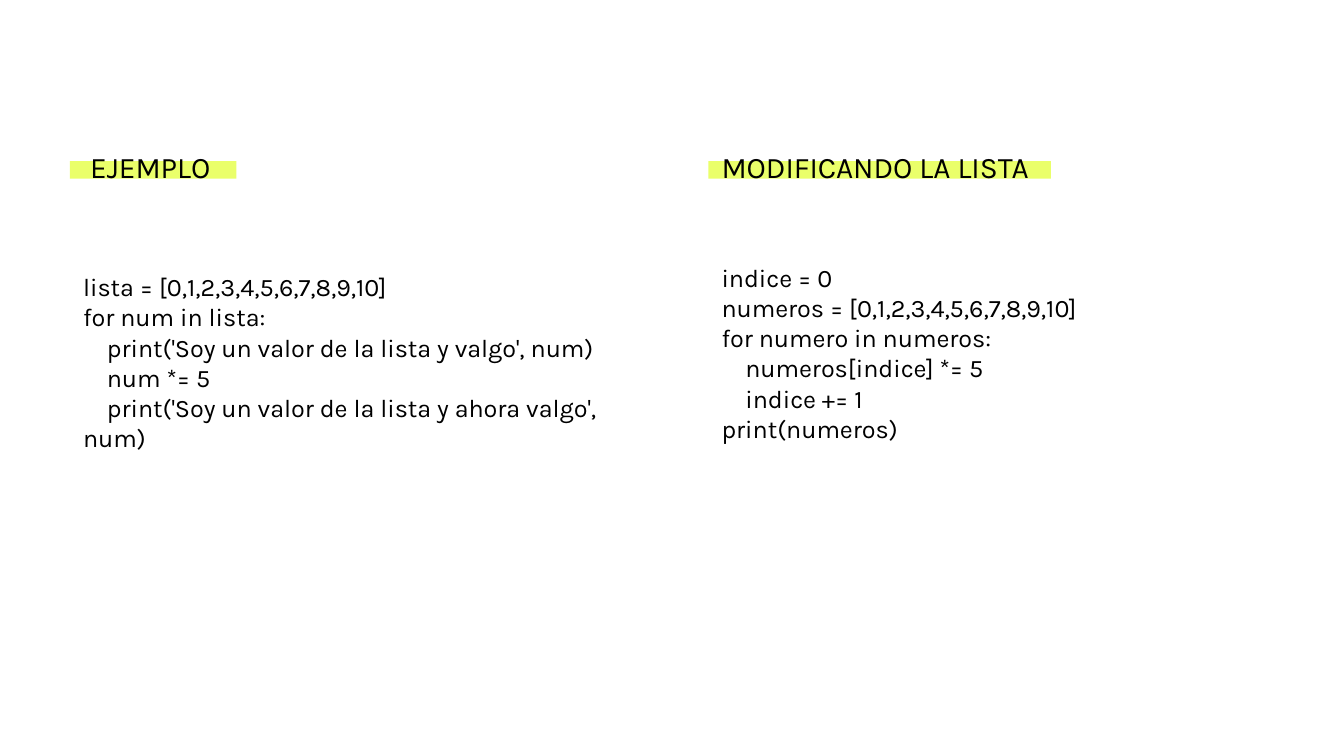
from pptx import Presentation
from pptx.dml.color import RGBColor
from pptx.enum.shapes import MSO_SHAPE
from pptx.util import Inches, Pt

RECT = MSO_SHAPE.RECTANGLE
FONT, INK, LIME = "Karla", "000000", "EAFF6A"
WIDE = 10
HIGH = WIDE * 9 / 16
PAD = 0.1

# Content: one dict per column
COLS = [
    {"left": 0.52, "title": "EJEMPLO", "indent": 0.05, "bar": 1.24,
     "head": 1.38, "top": 1.92, "width": 4.07,
     "code": ["lista = [0,1,2,3,4,5,6,7,8,9,10]",
              "for num in lista:",
              "    print('Soy un valor de la lista y valgo', num)",
              "    num *= 5",
              "    print('Soy un valor de la lista y ahora valgo', num)"]},
    {"left": 5.27, "title": "MODIFICANDO LA LISTA", "indent": 0, "bar": 2.55,
     "head": 3.01, "top": 1.85, "width": 4.31,
     "code": ["indice = 0",
              "numeros = [0,1,2,3,4,5,6,7,8,9,10]",
              "for numero in numeros:",
              "    numeros[indice] *= 5",
              "    indice += 1",
              "print(numeros)"]},
]


def color(code):
    return RGBColor.from_string(code)


def add_bar(slide, *box):
    bar = slide.shapes.add_shape(RECT, *map(Inches, box))
    bar.shadow.inherit = False
    bar.fill.solid()
    bar.fill.fore_color.rgb = color(LIME)
    bar.line.fill.background()


def add_text(slide, lines, size, box, indent=0):
    frame = slide.shapes.add_textbox(*map(Inches, box)).text_frame
    frame.word_wrap = True
    frame.margin_left = Inches(PAD + indent)
    frame.margin_right = frame.margin_top = frame.margin_bottom = Inches(PAD)
    for i, line in enumerate(lines):
        para = frame.add_paragraph() if i else frame.paragraphs[0]
        run = para.add_run()
        run.text = line
        run.font.name = FONT
        run.font.size = Pt(size)
        run.font.color.rgb = color(INK)


def main():
    deck = Presentation()
    deck.slide_width, deck.slide_height = Inches(WIDE), Inches(HIGH)
    slide = deck.slides.add_slide(deck.slide_layouts[6])

    for col in COLS:
        left = col["left"]
        # Code listing
        add_text(slide, col["code"], 13.5,
                 (left, col["top"], col["width"], 1.79))
        # Heading over its marker bar
        add_bar(slide, left, 1.2, col["bar"], 0.13)
        add_text(slide, [col["title"]], 16,
                 (left, 1.01, col["head"], 0.47), col["indent"])

    deck.save("out.pptx")


if __name__ == "__main__":
    main()
